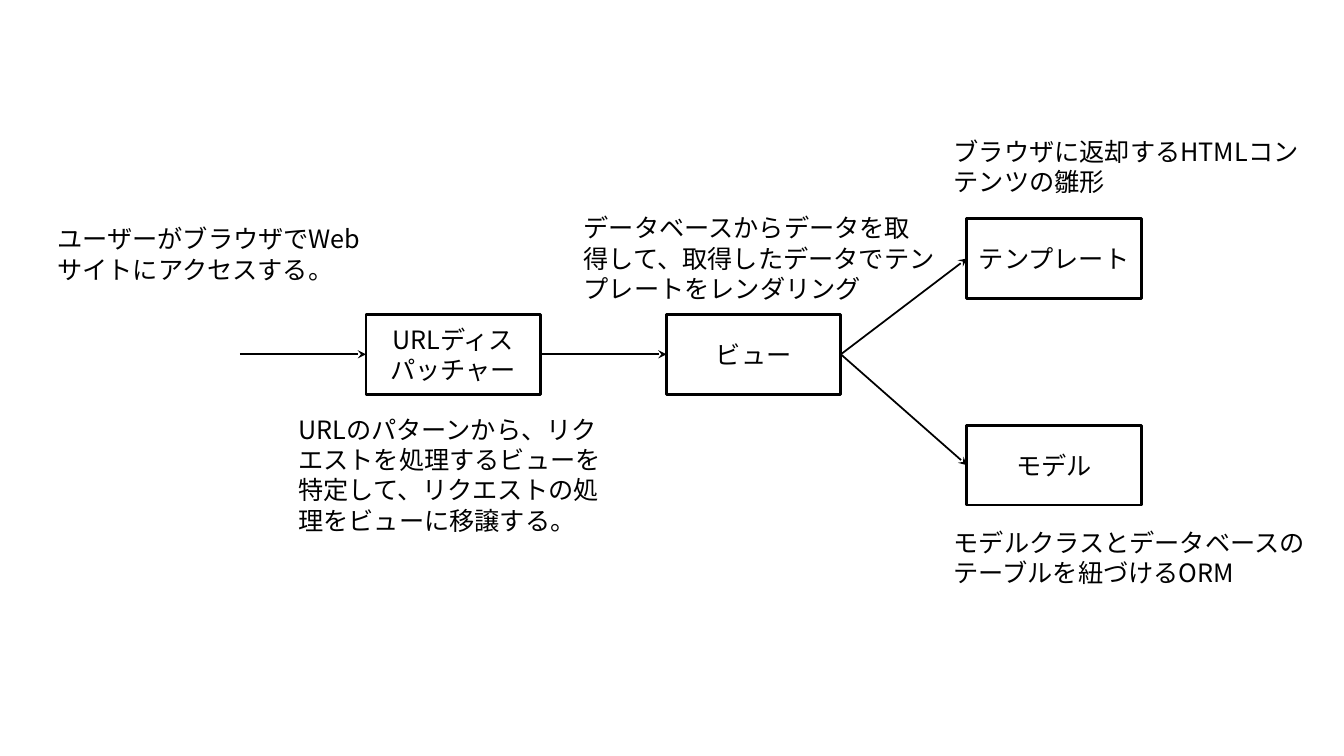
from lxml import etree
from pptx import Presentation
from pptx import util as u
from pptx.dml.color import RGBColor
from pptx.enum import lang, shapes, text
from pptx.oxml import ns

PX = 9144  # 100 px to the inch
BLACK = "000000"


def color(hex_code):
    return RGBColor.from_string(hex_code)


class Diagram:
    font = {"name": "Noto Sans CJK JP", "size": u.Pt(18),
            "language_id": lang.MSO_LANGUAGE_ID.JAPANESE}
    box_size = (173, 79)

    def __init__(self, page):
        self.page = page

    def label(self, shape, wording, align, frame_format):
        frame = shape.text_frame
        for name, value in frame_format.items():
            setattr(frame, name, value)
        para = frame.paragraphs[0]
        para.alignment = align
        span = para.add_run()
        span.text = wording
        for name, value in self.font.items():
            setattr(span.font, name, value)
        span.font.color.rgb = color(BLACK)
        east_asian = etree.SubElement(span.font._element, ns.qn("a:ea"))
        east_asian.set("typeface", self.font["name"])

    def outline(self, shape, width):
        shape.line.color.rgb = color(BLACK)
        shape.line.width = u.Pt(width)

    def box(self, left, top, wording):
        place = [n * PX for n in (left, top, *self.box_size)]
        shape = self.page.shapes.add_shape(shapes.MSO_SHAPE.RECTANGLE, *place)
        shape.shadow.inherit = False
        shape.fill.background()
        self.outline(shape, 2)
        self.label(shape, wording, text.PP_ALIGN.CENTER, {
            "word_wrap": True, "vertical_anchor": text.MSO_ANCHOR.MIDDLE})
        return shape

    def note(self, left, top, width, height, wording):
        place = [n * PX for n in (left, top, width, height)]
        shape = self.page.shapes.add_textbox(*place)
        self.label(shape, wording, text.PP_ALIGN.LEFT, {
            "word_wrap": True, "auto_size": text.MSO_AUTO_SIZE.SHAPE_TO_FIT_TEXT})

    def arrow(self, target, source=None, length=125):
        y = target.top + target.height // 2
        line = self.page.shapes.add_connector(
            shapes.MSO_CONNECTOR.STRAIGHT,
            target.left - length * PX, y, target.left, y)
        if source is not None:
            line.begin_connect(source, 3)
        line.end_connect(target, 1)
        self.outline(line, 1.25)
        head = etree.SubElement(line.line._get_or_add_ln(), ns.qn("a:tailEnd"))
        head.set("type", "stealth")
        etree.SubElement(line._element.spPr, ns.qn("a:effectLst"))


def main():
    deck = Presentation()
    deck.slide_width, deck.slide_height = 1333 * PX, 750 * PX
    diagram = Diagram(deck.slides.add_slide(deck.slide_layouts[6]))

    # Boxes, in three evenly spaced columns
    columns = [363 + 298 * i for i in range(3)]
    dispatcher = diagram.box(columns[0], 312, "URLディスパッチャー")
    view = diagram.box(columns[1], 312, "ビュー")
    template = diagram.box(columns[2], 217, "テンプレート")
    model = diagram.box(columns[2], 422, "モデル")

    # Arrows along the request flow
    diagram.arrow(dispatcher)
    for source, target in ((dispatcher, view), (view, model), (view, template)):
        diagram.arrow(target, source)

    # Explanations
    for note in (
        (47, 217, 326, 71, "ユーザーがブラウザでWebサイトにアクセスする。"),
        (286, 406, 326, 131, "URLのパターンから、リクエストを処理するビューを特定して、"
                             "リクエストの処理をビューに移譲する。"),
        (569, 206, 368, 101, "データベースからデータを取得して、"
                             "取得したデータでテンプレートをレンダリング"),
        (936, 130, 368, 71, "ブラウザに返却するHTMLコンテンツの雛形"),
        (936, 518, 368, 71, "モデルクラスとデータベースのテーブルを紐づけるORM"),
    ):
        diagram.note(*note)

    deck.save("out.pptx")


if __name__ == "__main__":
    main()
